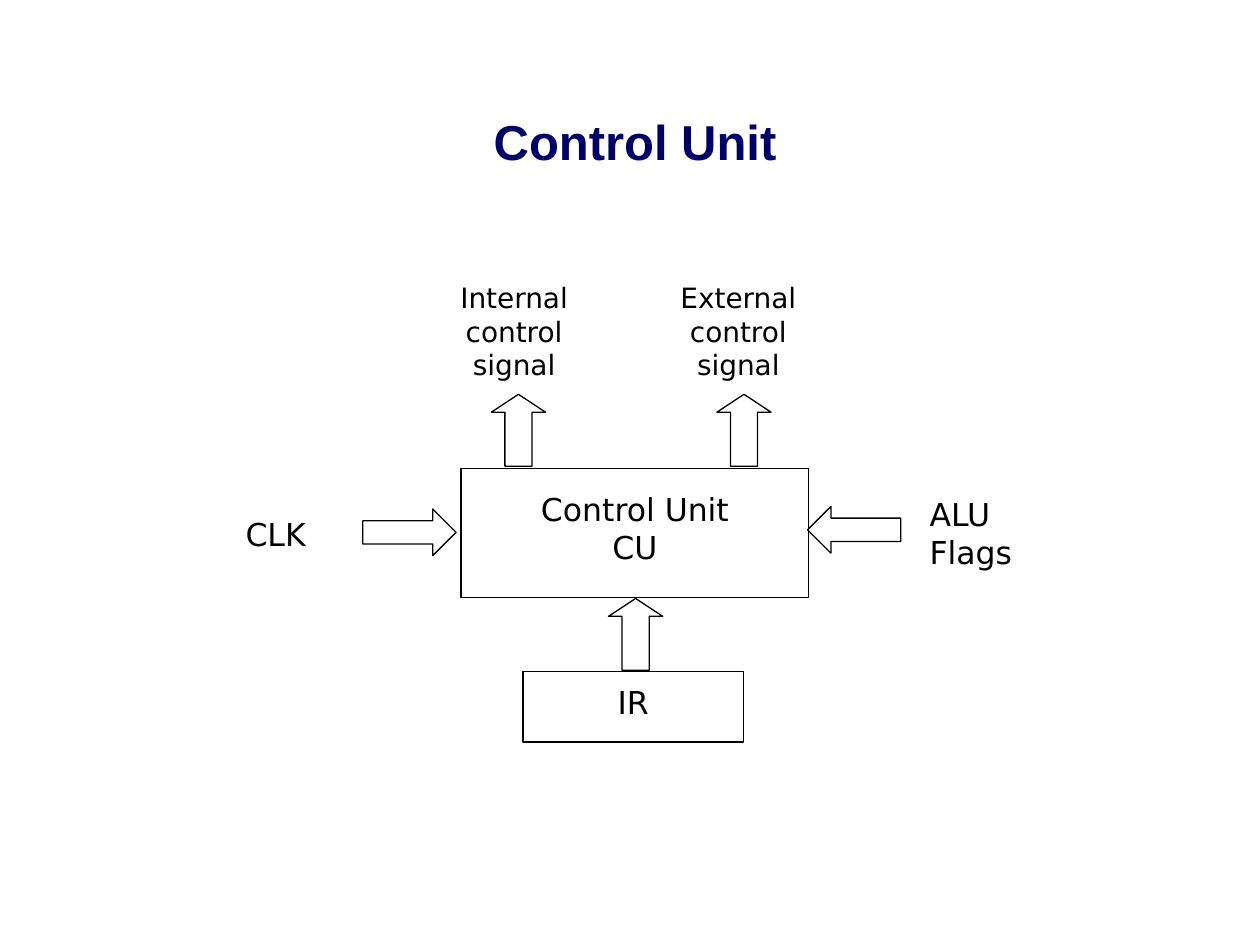
from pptx import Presentation
from pptx import util as u
from pptx.dml.color import RGBColor
from pptx.enum import shapes, text

PX = 9144
NAVY = RGBColor(0x00, 0x00, 0x66)
BLACK = RGBColor(0x00, 0x00, 0x00)
KIND = shapes.MSO_SHAPE
LEFT, MID = text.PP_ALIGN.LEFT, text.PP_ALIGN.CENTER
TOP, HALF = text.MSO_ANCHOR.TOP, text.MSO_ANCHOR.MIDDLE


class Pen:
    font = "DejaVu Sans"
    line = u.Pt(0.75)

    def __init__(self, slide):
        self.slide = slide

    def place(self, *box):
        return [n * PX for n in box]

    def words(self, shape, words, size, align, top=5, anchor=TOP):
        frame = shape.text_frame
        frame.word_wrap = True
        frame.vertical_anchor = anchor
        frame.margin_left = frame.margin_right = 10 * PX
        frame.margin_top, frame.margin_bottom = top * PX, 5 * PX
        frame.text = words
        para = frame.paragraphs[0]
        para.alignment = align
        for run in para.runs:
            run.font.name = self.font
            run.font.size = u.Pt(size)
            run.font.color.rgb = BLACK
        return para

    def shape(self, kind, box):
        shape = self.slide.shapes.add_shape(kind, *self.place(*box))
        shape.shadow.inherit = False
        shape.fill.background()
        shape.line.color.rgb = BLACK
        shape.line.width = self.line
        return shape

    def block(self, words, box, top):
        self.words(self.shape(KIND.RECTANGLE, box), words, 18, MID, top)

    def arrow(self, kind, box, head):
        shape = self.shape(kind, box)
        shape.adjustments[0] = 0.5
        shape.adjustments[1] = head

    def label(self, words, box, size=18, align=LEFT, anchor=TOP):
        area = self.slide.shapes.add_textbox(*self.place(*box))
        return self.words(area, words, size, align, anchor=anchor)

    def title(self, words, box):
        para = self.label(words, box, 28, MID, HALF)
        for run in para.runs:
            run.font.name = "Arial"
            run.font.bold = True
            run.font.color.rgb = NAVY


def main():
    deck = Presentation()
    deck.slide_width, deck.slide_height = 1000 * PX, 750 * PX
    pen = Pen(deck.slides.add_slide(deck.slide_layouts[6]))

    pen.title("Control Unit", (25, 83, 958, 57))
    pen.block("Control Unit\vCU", (366, 372, 276, 102), 17)
    pen.block("IR", (415, 533, 175, 56), 9)

    for left, top in ((483, 475), (390, 313), (569, 313)):
        pen.arrow(KIND.UP_ARROW, (left, top, 43, 57), 0.33)
    pen.arrow(KIND.RIGHT_ARROW, (288, 404, 74, 37), 0.5)
    pen.arrow(KIND.LEFT_ARROW, (641, 402, 74, 37), 0.5)

    pen.label("CLK", (185, 404, 79, 40))
    pen.label("ALU Flags", (728, 388, 110, 70))
    for side, left in (("Internal", 349), ("External", 527)):
        pen.label(f"{side} control signal", (left, 218, 118, 90), 16, MID)

    deck.save("out.pptx")


if __name__ == "__main__":
    main()
